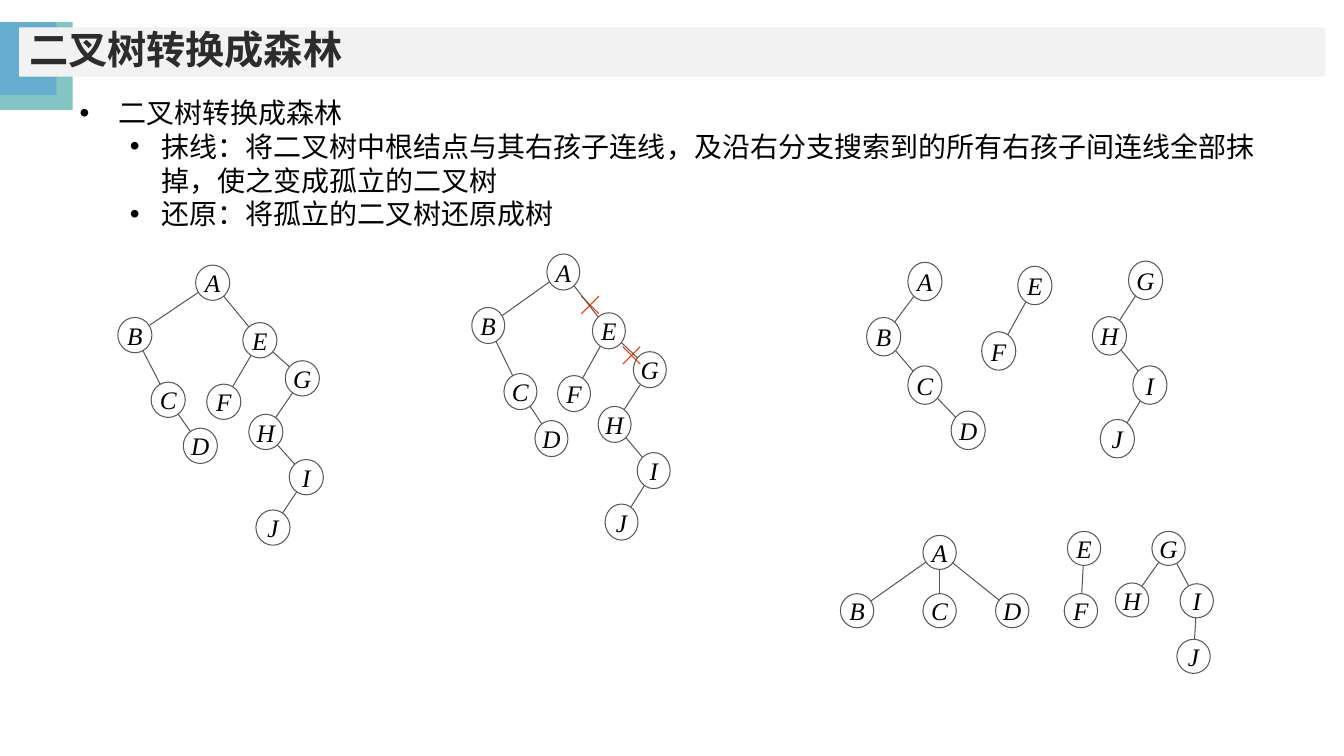
from math import hypot

from lxml import etree
from pptx import Presentation, util as u
from pptx.dml.color import RGBColor
from pptx.enum import shapes, text
from pptx.oxml.ns import qn

COLOURS = {
    "teal": "84C4C3", "blue": "65AECF", "bar": "F2F2F2", "title": "2C2C2C",
    "text": "000000", "line": "595959", "cut": "FF3300",
}
TITLE = "二叉树转换成森林"
# Each step: level, left margin, bullet indent (cm), wording
STEPS = [
    (0, 0.97, -0.97, "二叉树转换成森林"),
    (1, 2.06, -0.79, "抹线：将二叉树中根结点与其右孩子连线，及沿右分支搜索到的所有右孩子间连线全部抹掉，使之变成孤立的二叉树"),
    (1, 2.06, -0.79, "还原：将孤立的二叉树还原成树"),
]

# Node corners in cm at natural size, node size, and parent-child pairs
BINARY_TREE = {
    "node": (0.86, 0.89),
    "corners": {
        "A": (1.96, 0), "B": (0, 1.32), "C": (0.84, 2.95), "D": (1.65, 4.11),
        "E": (3.15, 1.45), "F": (2.24, 3), "G": (4.22, 2.41),
        "H": (3.3, 3.76), "I": (4.32, 4.9), "J": (3.48, 6.17),
    },
    "edges": "AB BC CD AE EF EG GH HI IJ",
}
ISOLATED_TREES = {
    "node": (0.86, 0.97),
    "corners": {
        "A": (1.04, 0.03), "B": (0, 1.42), "C": (1.04, 2.64), "D": (2.13, 3.78),
        "E": (3.81, 0.13), "F": (2.9, 1.78), "G": (6.6, 0),
        "H": (5.69, 1.4), "I": (6.71, 2.64), "J": (5.89, 3.99),
    },
    "edges": "AB BC CD EF GH HI IJ",
}
FOREST = {
    "node": (0.84, 0.86),
    "corners": {
        "A": (2.08, 0.1), "B": (0, 1.57), "C": (2.08, 1.57), "D": (3.91, 1.57),
        "E": (5.72, 0), "F": (5.64, 1.57), "G": (7.85, 0),
        "H": (6.93, 1.3), "I": (8.56, 1.32), "J": (8.48, 2.72),
    },
    "edges": "AB AC AD EF GH GI IJ",
}
CUTS = [(3.09, 1.26), (4.17, 2.5)]
CUT_REACH = 0.22


def colour(name):
    return RGBColor.from_string(COLOURS[name])


def style_font(font, name, size, tint, bold=False, italic=False):
    font.name, font.size = name, u.Pt(size)
    font.bold, font.italic = bold, italic
    font.color.rgb = colour(tint)


def move(placeholder, box):
    (placeholder.left, placeholder.top,
     placeholder.width, placeholder.height) = map(u.Cm, box)


def add_title(slide, box):
    title = slide.shapes.title
    move(title, box)
    title.fill.solid()
    title.fill.fore_color.rgb = colour("bar")
    frame = title.text_frame
    frame.text = TITLE
    frame.auto_size = text.MSO_AUTO_SIZE.NONE
    frame.vertical_anchor = text.MSO_ANCHOR.MIDDLE
    heading = frame.paragraphs[0]
    heading.alignment = text.PP_ALIGN.LEFT
    heading.line_spacing = 0.9
    style_font(heading.font, "Arial", 28, "title", bold=True)


def add_corner(slide, box):
    """Two overlapping panels behind the title bar."""
    left, top, width, height = box
    corner = slide.shapes.add_group_shape()
    for tint, w, h in (("teal", width, height),
                       ("blue", width - 0.41, height - 0.38)):
        panel = corner.shapes.add_shape(
            shapes.MSO_SHAPE.RECTANGLE, *map(u.Cm, (left, top, w, h)))
        panel.shadow.inherit = False
        panel.fill.solid()
        panel.fill.fore_color.rgb = colour(tint)
        panel.line.fill.background()
    slide.shapes.title.element.addprevious(corner.element)


def add_steps(slide, box):
    body = slide.placeholders[1]
    move(body, box)
    frame = body.text_frame
    frame.text = "\n".join(wording for *_, wording in STEPS)
    frame.auto_size = text.MSO_AUTO_SIZE.NONE
    frame.vertical_anchor = text.MSO_ANCHOR.TOP
    for step, (level, margin, indent, _) in zip(frame.paragraphs, STEPS):
        step.level = level
        step.line_spacing = 1.0
        step.space_before = u.Pt(0)
        # Round bullet with a hanging indent
        props = step._p.get_or_add_pPr()
        props.set("marL", str(u.Cm(margin)))
        props.set("indent", str(u.Cm(indent)))
        etree.SubElement(props, qn("a:buFont")).set("typeface", "Arial")
        etree.SubElement(props, qn("a:buChar")).set("char", "•")
        style_font(step.font, "Times New Roman", 20, "text")


def add_line(group, start, end, tint):
    line = group.shapes.add_connector(
        shapes.MSO_CONNECTOR.STRAIGHT, *map(u.Cm, (*start, *end)))
    line.line.color.rgb = colour(tint)
    line.line.width = u.Pt(0.75)
    etree.SubElement(line.element.spPr, qn("a:effectLst"))


def add_node(group, letter, box):
    node = group.shapes.add_shape(shapes.MSO_SHAPE.OVAL, *map(u.Cm, box))
    node.shadow.inherit = False
    node.fill.background()
    node.line.color.rgb = colour("line")
    node.line.width = u.Pt(0.75)
    frame = node.text_frame
    frame.text = letter
    frame.word_wrap = False
    frame.vertical_anchor = text.MSO_ANCHOR.MIDDLE
    label = frame.paragraphs[0]
    label.alignment = text.PP_ALIGN.CENTER
    style_font(label.font, "Times New Roman", 18, "text", italic=True)


def add_trees(slide, box, trees, cuts=()):
    """Scale the trees to fill the box; edges stop at the node outlines."""
    left, top, width, height = box
    node_w, node_h = trees["node"]
    corners = trees["corners"]
    scale_x = width / (max(x for x, _ in corners.values()) + node_w)
    scale_y = height / (max(y for _, y in corners.values()) + node_h)
    node_w, node_h = node_w * scale_x, node_h * scale_y

    def place(x, y):
        return left + x * scale_x, top + y * scale_y

    group = slide.shapes.add_group_shape()
    # Crosses on the removed edges
    for cut in cuts:
        x, y = place(*cut)
        for rise in (CUT_REACH, -CUT_REACH):
            add_line(group, (x - CUT_REACH, y - rise),
                     (x + CUT_REACH, y + rise), "cut")
    # Nodes
    centres = {}
    for letter, corner in corners.items():
        x, y = place(*corner)
        centres[letter] = x + node_w / 2, y + node_h / 2
        add_node(group, letter, (x, y, node_w, node_h))
    # Edges
    for parent, child in trees["edges"].split():
        (x1, y1), (x2, y2) = centres[parent], centres[child]
        dx, dy = x2 - x1, y2 - y1
        trim = 0.5 / hypot(dx / node_w, dy / node_h)
        add_line(group, (x1 + dx * trim, y1 + dy * trim),
                 (x2 - dx * trim, y2 - dy * trim), "line")


def main():
    deck = Presentation()
    deck.slide_width, deck.slide_height = u.Cm(33.87), u.Cm(19.05)
    slide = deck.slides.add_slide(deck.slide_layouts[1])
    add_title(slide, (0.48, 0.69, 32.92, 1.24))
    add_corner(slide, (0, 0.56, 1.83, 2.21))
    add_steps(slide, (1.75, 2.29, 30.35, 3.91))
    add_trees(slide, (2.97, 6.68, 5.18, 7.06), BINARY_TREE)
    add_trees(slide, (11.89, 6.4, 5, 7.21), BINARY_TREE, CUTS)
    add_trees(slide, (21.84, 6.58, 7.57, 4.96), ISOLATED_TREES)
    add_trees(slide, (21.18, 13.39, 9.4, 3.58), FOREST)
    deck.save("out.pptx")


if __name__ == "__main__":
    main()
